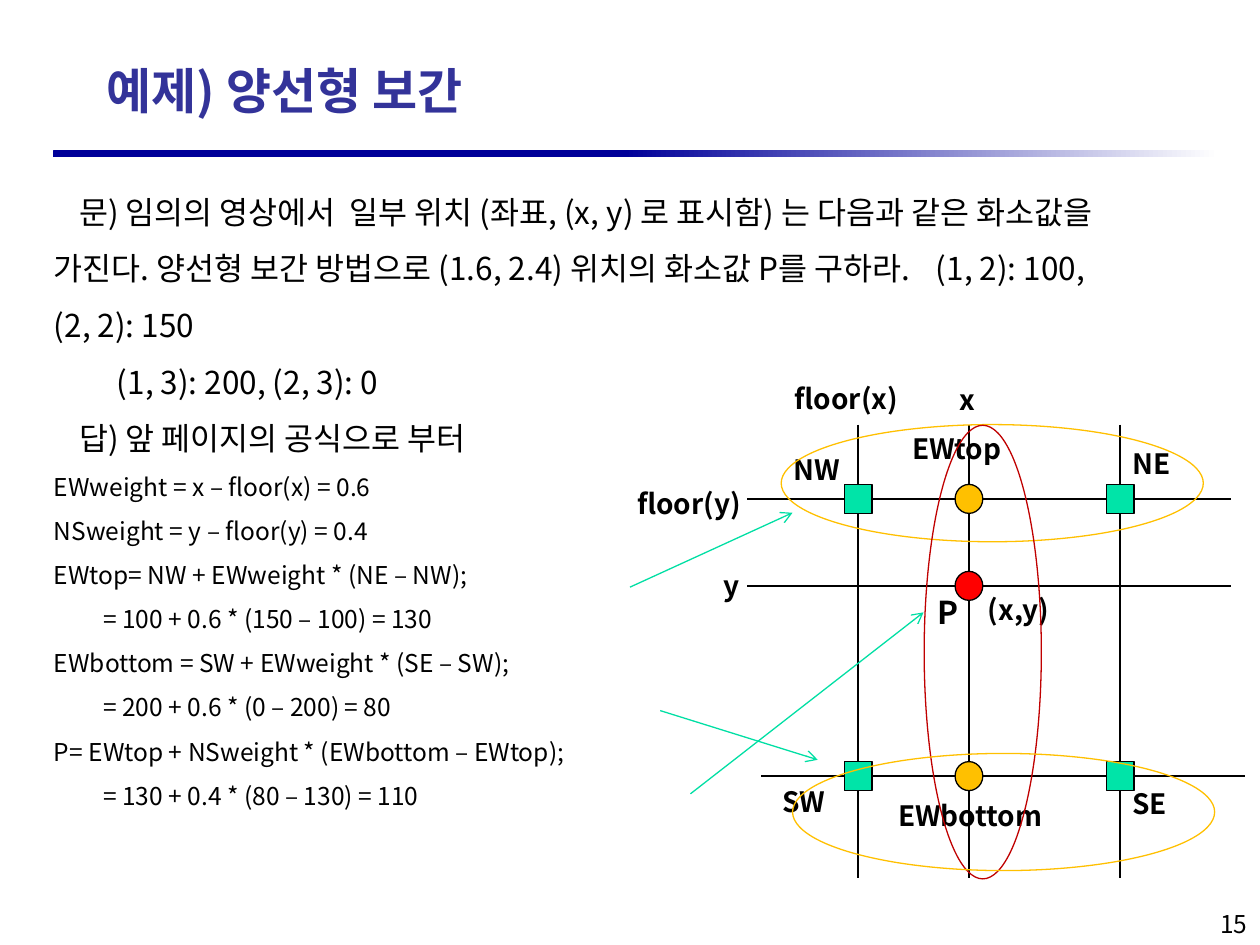
from dataclasses import dataclass

from lxml import etree
from pptx import Presentation
from pptx.dml.color import RGBColor
from pptx.enum.shapes import MSO_CONNECTOR, MSO_SHAPE
from pptx.enum.text import MSO_ANCHOR, PP_ALIGN
from pptx.oxml.ns import qn
from pptx.util import Inches, Pt

RECT, OVAL, ROUND = MSO_SHAPE.RECTANGLE, MSO_SHAPE.OVAL, MSO_SHAPE.ROUNDED_RECTANGLE
LINE = MSO_CONNECTOR.STRAIGHT
TOP, MID, LOW = MSO_ANCHOR.TOP, MSO_ANCHOR.MIDDLE, MSO_ANCHOR.BOTTOM
LEFT, RIGHT = PP_ALIGN.LEFT, PP_ALIGN.RIGHT


@dataclass(frozen=True)
class Theme:
    font: str = "Noto Sans CJK KR"
    ink: str = "000000"
    title: str = "333399"
    navy: str = "000099"
    white: str = "FFFFFF"
    green: str = "00E4A8"
    arrow: str = "00DFA4"
    gold: str = "FFC000"
    red: str = "FF0000"
    dark: str = "C00000"
    head: int = 28
    body: int = 18
    mark: int = 16
    small: int = 14
    thin: float = 0.75


T = Theme()

TASK = [
    "문) 임의의 영상에서  일부 위치 (좌표, (x, y) 로 표시함) 는 다음과 같은 "
    "화소값을 가진다. 양선형 보간 방법으로 (1.6, 2.4) 위치의 화소값 P를 구하라."
    "\t(1, 2): 100, (2, 2): 150",
    "\t(1, 3): 200, (2, 3): 0",
    "답) 앞 페이지의 공식으로 부터",
]
STEPS = [
    "EWweight = x – floor(x) = 0.6",
    "NSweight = y – floor(y) = 0.4",
    "EWtop= NW + EWweight * (NE – NW);",
    "= 100 + 0.6 * (150 – 100) = 130",
    "EWbottom = SW + EWweight * (SE – SW);",
    "= 200 + 0.6 * (0 – 200) = 80",
    "P= EWtop + NSweight * (EWbottom – EWtop);",
    "= 130 + 0.4 * (80 – 130) = 110",
]
LABELS = [
    ("EWtop", 7.14, 3.37, 1.21, 0.37),
    ("SW", 6.11, 6.03, 0.77, 0.51),
    ("NW", 6.2, 3.54, 0.75, 0.37),
    ("SE", 8.89, 6.05, 0.77, 0.51),
    ("NE", 8.89, 3.49, 0.77, 0.37),
    ("EWbottom", 7.03, 6.28, 1.76, 0.37),
    ("(x,y)", 7.74, 4.65, 0.76, 0.37),
    ("floor(y)", 4.96, 3.81, 1.04, 0.37),
    ("x", 7.52, 2.98, 0.55, 0.37),
    ("floor(x)", 6.21, 2.97, 1.14, 0.37),
    ("y", 5.64, 4.46, 0.44, 0.37),
]
WEST, X, EAST = 6.81, 7.69, 8.89
NORTH, Y, SOUTH = 3.96, 4.65, 6.16
ARROWS = [
    (5, 4.66, 6.29, 4.07),
    (5.24, 5.64, 6.49, 6.03),
    (5.48, 6.3, 7.33, 4.86),
]


def rgb(code):
    return RGBColor.from_string(code)


def style(para, size, color=T.ink, bold=False):
    for run in para.runs:
        font = run.font
        font.name, font.size, font.bold = T.font, Pt(size), bold
        font.color.rgb = rgb(color)
        east = etree.SubElement(run._r.get_or_add_rPr(), qn("a:ea"))
        east.set("typeface", T.font)


def frame(slide, box, anchor=TOP):
    text = slide.shapes.add_textbox(*map(Inches, box)).text_frame
    text.word_wrap = True
    text.vertical_anchor = anchor
    return text


def label(slide, words, box, size=T.mark, color=T.ink, bold=True,
          anchor=LOW, align=LEFT):
    para = frame(slide, box, anchor).paragraphs[0]
    para.text = words
    para.alignment = align
    style(para, size, color, bold)


def indent(para, left, first):
    props = para._p.get_or_add_pPr()
    props.set("marL", str(Inches(left)))
    props.set("indent", str(Inches(first)))


def body(slide):
    text = frame(slide, (0.33, 1.33, 8.5, 5.5))
    for at, words in enumerate(TASK + STEPS):
        para = text.add_paragraph() if at else text.paragraphs[0]
        para.text = words
        para.line_spacing = 1.5
        if words in TASK:
            indent(para, 0, 0.2)
            style(para, T.body)
        else:
            indent(para, 0.39 if words[0] == "=" else 0, 0)
            style(para, T.small)


def shape(slide, kind, box, fill=None, line=T.ink):
    item = slide.shapes.add_shape(kind, *map(Inches, box))
    item.shadow.inherit = False
    if fill:
        item.fill.solid()
        item.fill.fore_color.rgb = rgb(fill)
    else:
        item.fill.background()
    item.line.color.rgb = rgb(line)
    item.line.width = Pt(T.thin)
    return item


def line(slide, ends, color=T.ink, arrow=False):
    item = slide.shapes.add_connector(LINE, *map(Inches, ends))
    item.line.color.rgb = rgb(color)
    item.line.width = Pt(T.thin)
    if arrow:
        etree.SubElement(item.line._get_or_add_ln(), qn("a:tailEnd"), type="arrow")
    etree.SubElement(item._element.spPr, qn("a:effectLst"))


def rule(slide):
    bar = shape(slide, ROUND, (0.42, 1.19, 9.25, 0.06))
    bar.line.fill.background()
    bar.fill.gradient()
    bar.fill.gradient_angle = 0
    for stop, color, place in zip(bar.fill.gradient_stops, (T.navy, T.white), (0.49, 1)):
        stop.color.rgb = rgb(color)
        stop.position = place


def node(slide, kind, x, y, fill):
    wide, high = 0.22, 0.23
    shape(slide, kind, (x - wide / 2, y - high / 2, wide, high), fill)


def grid(slide):
    for left, y in ((5.93, NORTH), (5.93, Y), (6.04, SOUTH)):
        line(slide, (left, y, left + 3.84, y))
    for x in (WEST, X, EAST):
        line(slide, (x, 3.37, x, 6.97))
    for y in (NORTH, SOUTH):
        for x in (WEST, EAST):
            node(slide, RECT, x, y, T.green)
        node(slide, OVAL, X, y, T.gold)
    node(slide, OVAL, X, Y, T.red)


def main():
    deck = Presentation()
    deck.slide_width, deck.slide_height = Inches(10), Inches(7.5)
    slide = deck.slides.add_slide(deck.slide_layouts[6])
    rule(slide)
    label(slide, "15", (7.92, 7.17, 2.08, 0.33), T.small, bold=False, align=RIGHT)
    label(slide, "예제) 양선형 보간", (0.75, 0.42, 8.5, 0.58), T.head, T.title, anchor=MID)
    body(slide)
    grid(slide)
    for words, *box in LABELS:
        label(slide, words, box)
    shape(slide, OVAL, (6.2, 3.37, 3.35, 0.93), line=T.gold)
    shape(slide, OVAL, (6, 4.71, 3.6, 0.93), line=T.dark).rotation = 270
    shape(slide, OVAL, (6.29, 5.98, 3.35, 0.93), line=T.gold)
    label(slide, "P", (7.34, 4.66, 0.36, 0.4), T.body)
    for ends in ARROWS:
        line(slide, ends, T.arrow, arrow=True)
    deck.save("out.pptx")


if __name__ == "__main__":
    main()
